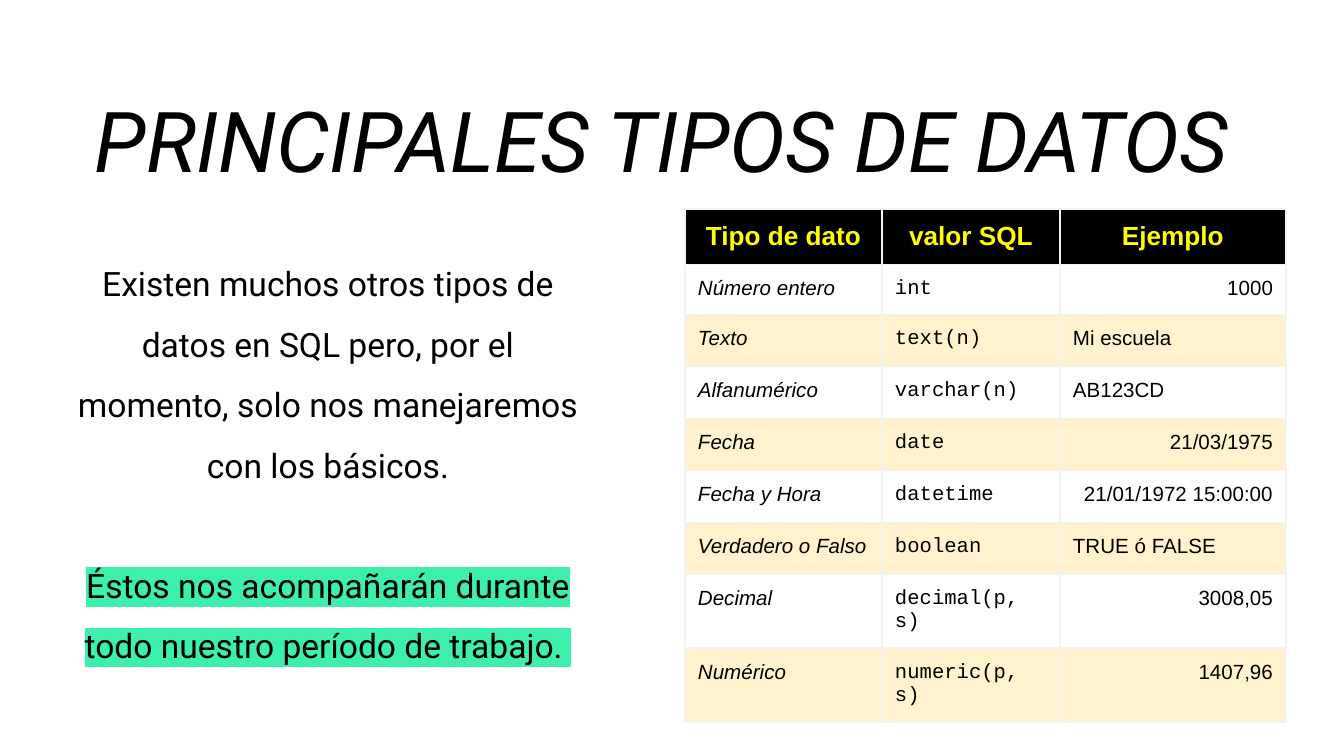
import lxml.etree
import pptx
import pptx.dml.color
import pptx.enum.text
import pptx.oxml.ns
import pptx.util

# Content
TITLE = "PRINCIPALES TIPOS DE DATOS"
# text, highlight colour, space before in points
BODY = [
    ("Existen muchos otros tipos de datos en SQL pero, por el momento, "
     "solo nos manejaremos con los básicos.", None, 0),
    ("Éstos nos acompañarán durante todo nuestro período de trabajo. ", "3CEFAB", 32),
]
HEADER = ("Tipo de dato", "valor SQL", "Ejemplo")
TYPES = [
    ("Número entero", "int", "1000"),
    ("Texto", "text(n)", "Mi escuela"),
    ("Alfanumérico", "varchar(n)", "AB123CD"),
    ("Fecha", "date", "21/03/1975"),
    ("Fecha y Hora", "datetime", "21/01/1972 15:00:00"),
    ("Verdadero o Falso", "boolean", "TRUE ó FALSE"),
    ("Decimal", "decimal(p, s)", "3008,05"),
    ("Numérico", "numeric(p, s)", "1407,96"),
]

# Layout in px
PAGE = (1344, 756)
TITLE_BOX = (70, 75, 1183, 105)
BODY_BOX = (54, 230, 548, 434)
TABLE_AT = (685, 209)
COLUMNS = (197, 178, 226)
ROWS = (55, 50) + (52,) * 5 + (74,) * 2
INSET = 13

ALIGN = pptx.enum.text.PP_ALIGN
COLUMN_STYLES = [
    {"font": "Arial", "italic": True},
    {"font": "Courier New"},
    {"font": "Arial"},
]


def px(length):
    return pptx.util.Emu(round(length * 914400 / 134.4))


def rgb(code):
    return pptx.dml.color.RGBColor.from_string(code)


def element(parent, tag, **attributes):
    return lxml.etree.SubElement(parent, pptx.oxml.ns.qn(tag), attributes)


def add_span(para, text, size, font, color="000000", bold=False, italic=False):
    span = para.add_run()
    span.text = text
    span.font.size = pptx.util.Pt(size)
    span.font.name = font
    span.font.bold = bold
    span.font.italic = italic
    span.font.color.rgb = rgb(color)
    return span


def highlight(span, color):
    properties = span.font._element
    mark = element(properties, "a:highlight")
    element(mark, "a:srgbClr", val=color)
    properties.find(pptx.oxml.ns.qn("a:solidFill")).addnext(mark)


def set_insets(target):
    target.margin_left = target.margin_right = px(INSET)
    target.margin_top = target.margin_bottom = px(INSET)


def place(box, bounds):
    box.left, box.top, box.width, box.height = map(px, bounds)
    frame = box.text_frame
    frame.word_wrap = True
    frame.auto_size = pptx.enum.text.MSO_AUTO_SIZE.NONE
    frame.vertical_anchor = pptx.enum.text.MSO_ANCHOR.TOP
    set_insets(frame)
    return frame


def style_cell(cell, fill):
    set_insets(cell)
    properties = cell._tc.get_or_add_tcPr()
    for side in ("a:lnL", "a:lnR", "a:lnT", "a:lnB"):
        line = element(properties, side, w=str(pptx.util.Pt(0.75)))
        element(element(line, "a:solidFill"), "a:srgbClr", val="F3F3F3")
    cell.fill.solid()
    cell.fill.fore_color.rgb = rgb(fill)


deck = pptx.Presentation()
deck.slide_width, deck.slide_height = map(px, PAGE)
page = deck.slides.add_slide(deck.slide_layouts[1])

# Title
para = place(page.shapes.title, TITLE_BOX).paragraphs[0]
para.alignment = ALIGN.CENTER
add_span(para, TITLE, 45, "Roboto", italic=True)

# Explanation
frame = place(page.placeholders[1], BODY_BOX)
for index, (text, mark, gap) in enumerate(BODY):
    para = frame.add_paragraph() if index else frame.paragraphs[0]
    para.alignment = ALIGN.CENTER
    para.line_spacing = 1.5
    para.space_before = pptx.util.Pt(gap)
    properties = para._p.get_or_add_pPr()
    properties.set("marL", "0")
    properties.set("indent", "0")
    element(properties, "a:buNone")
    span = add_span(para, text, 18, "Roboto")
    if mark:
        highlight(span, mark)

# Table of data types
bounds = TABLE_AT + (sum(COLUMNS), sum(ROWS))
table = page.shapes.add_table(len(ROWS), len(COLUMNS), *map(px, bounds)).table
for column, width in zip(table.columns, COLUMNS):
    column.width = px(width)
for row, height in zip(table.rows, ROWS):
    row.height = px(height)

for column, text in enumerate(HEADER):
    cell = table.cell(0, column)
    style_cell(cell, "000000")
    para = cell.text_frame.paragraphs[0]
    para.alignment = ALIGN.CENTER
    add_span(para, text, 14, "Arial", "FFFF00", bold=True)

for row, values in enumerate(TYPES, start=1):
    for column, text in enumerate(values):
        cell = table.cell(row, column)
        style_cell(cell, "FFFFFF" if row % 2 else "FFF2CC")
        para = cell.text_frame.paragraphs[0]
        para.alignment = ALIGN.RIGHT if text[0].isdigit() else ALIGN.LEFT
        add_span(para, text, 11, **COLUMN_STYLES[column])

deck.save("out.pptx")
